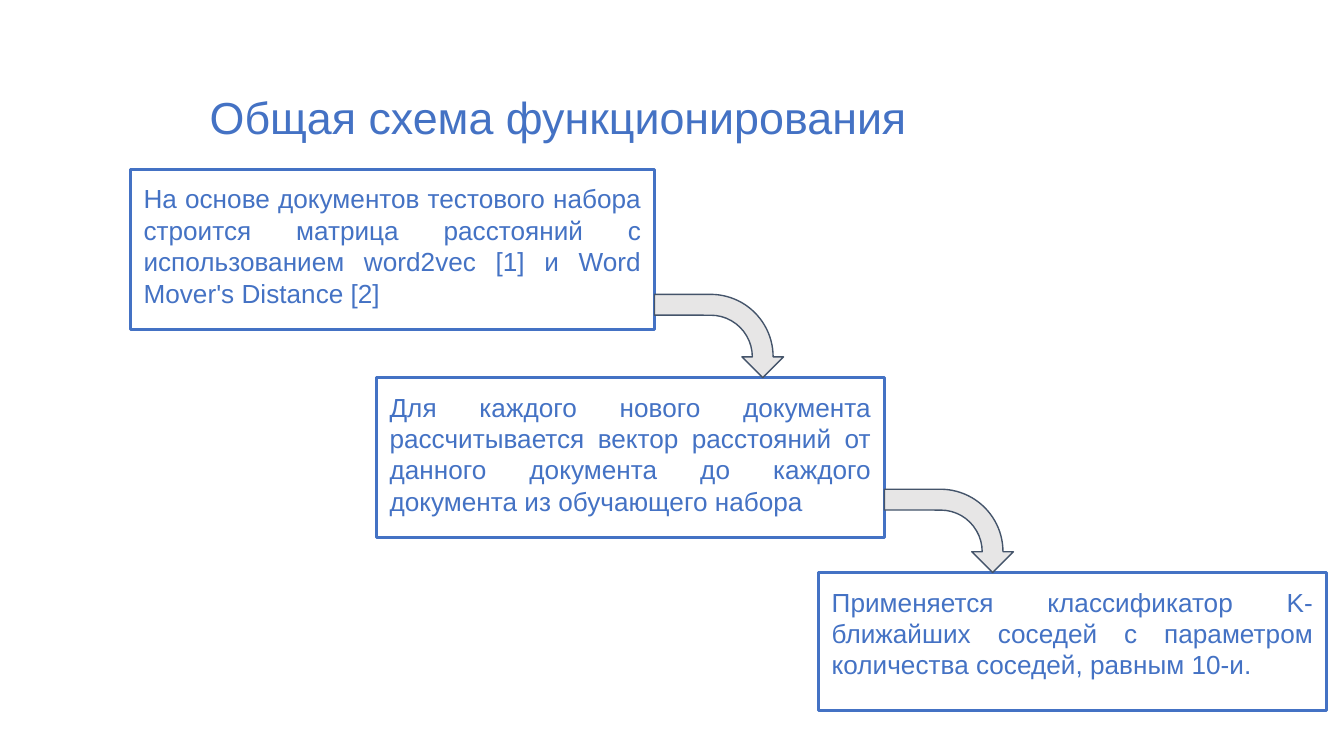
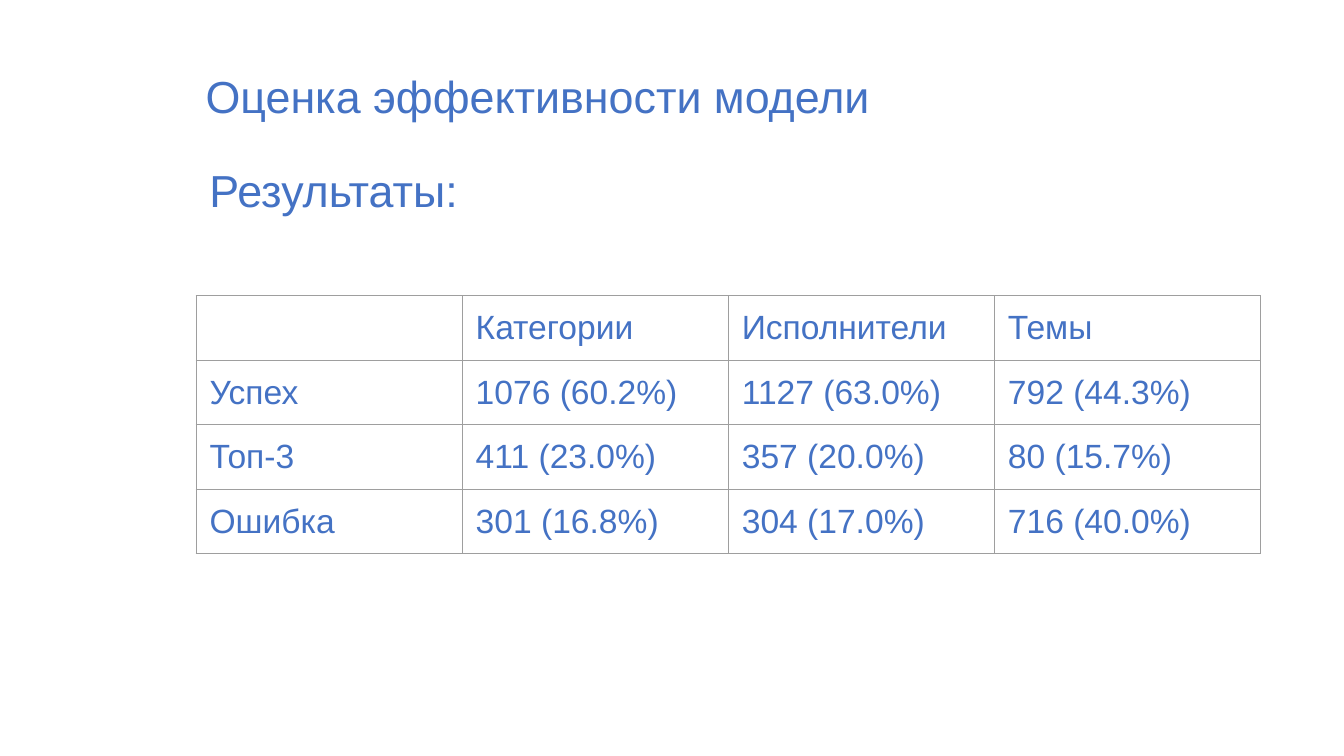
from dataclasses import dataclass

import pptx
import pptx.dml.color
import pptx.enum.shapes
import pptx.enum.text
import pptx.oxml
import pptx.oxml.ns
import pptx.presentation
import pptx.slide
import pptx.table
import pptx.text.text
import pptx.util
from pptx.util import Inches

COLORS = {
    "accent": "4472C4",
    "paper": "FFFFFF",
    "arrow_fill": "E7E6E6",
    "arrow_line": "44546A",
    "grid": "9E9E9E",
}
FONT = "Arial"
HEADING_SIZE = 24
STEP_SIZE = 14
TABLE_SIZE = 18
ARROW_WIDTH = 0.62
ARROW_LENGTH = 0.96
COLUMN_WIDTH = 1.98
ROW_HEIGHT = 0.42
JUSTIFY = pptx.enum.text.PP_ALIGN.JUSTIFY
LEFT = pptx.enum.text.PP_ALIGN.LEFT


@dataclass(frozen=True)
class Step:
    left: float
    top: float
    width: float
    height: float
    text: str


STEPS = [
    Step(0.97, 1.26, 3.9, 1.19,
         "На основе документов тестового набора строится матрица расстояний "
         "с использованием word2vec [1] и Word Mover's Distance [2]"),
    Step(2.8, 2.81, 3.78, 1.19,
         "Для каждого нового документа рассчитывается вектор расстояний "
         "от данного документа до каждого документа из обучающего набора"),
    Step(6.09, 4.26, 3.78, 1.03,
         "Применяется классификатор K-ближайших соседей с параметром "
         "количества соседей, равным 10-и."),
]

RESULTS = [
    ["", "Категории", "Исполнители", "Темы"],
    ["Успех", "1076 (60.2%)", "1127 (63.0%)", "792 (44.3%)"],
    ["Топ-3", "411 (23.0%)", "357 (20.0%)", "80 (15.7%)"],
    ["Ошибка", "301 (16.8%)", "304 (17.0%)", "716 (40.0%)"],
]


def rgb(name: str) -> pptx.dml.color.RGBColor:
    return pptx.dml.color.RGBColor.from_string(COLORS[name])


def add_run(paragraph: pptx.text.text._Paragraph, text: str, size: float) -> None:
    run = paragraph.add_run()
    run.text = text
    run.font.name = FONT
    run.font.size = pptx.util.Pt(size)
    run.font.color.rgb = rgb("accent")


def write(frame: pptx.text.text.TextFrame, text: str, size: float,
          align: pptx.enum.text.PP_ALIGN = LEFT,
          inset_x: float = 0.1, inset_y: float = 0.1) -> None:
    frame.word_wrap = True
    frame.auto_size = pptx.enum.text.MSO_AUTO_SIZE.NONE
    frame.vertical_anchor = pptx.enum.text.MSO_ANCHOR.TOP
    frame.margin_left = frame.margin_right = Inches(inset_x)
    frame.margin_top = frame.margin_bottom = Inches(inset_y)
    paragraph = frame.paragraphs[0]
    paragraph.alignment = align
    add_run(paragraph, text, size)


def add_titled_slide(deck: pptx.presentation.Presentation, text: str,
                     left: float, top: float, width: float) -> pptx.slide.Slide:
    slide = deck.slides.add_slide(deck.slide_layouts[5])
    title = slide.shapes.title
    title.left, title.top = Inches(left), Inches(top)
    title.width, title.height = Inches(width), Inches(0.48)
    write(title.text_frame, text, HEADING_SIZE, inset_x=0.07, inset_y=0.04)
    return slide


def draw_step(slide: pptx.slide.Slide, step: Step) -> None:
    box = slide.shapes.add_shape(
        pptx.enum.shapes.MSO_SHAPE.RECTANGLE,
        Inches(step.left), Inches(step.top), Inches(step.width), Inches(step.height))
    box.shadow.inherit = False
    box.fill.background()
    box.line.color.rgb = rgb("accent")
    box.line.width = pptx.util.Pt(1.5)
    write(box.text_frame, step.text, STEP_SIZE, JUSTIFY)


def draw_arrow(slide: pptx.slide.Slide, source: Step, target: Step) -> None:
    center_x = source.left + source.width + ARROW_LENGTH / 2
    center_y = target.top - ARROW_WIDTH / 2
    arrow = slide.shapes.add_shape(
        pptx.enum.shapes.MSO_SHAPE.BENT_ARROW,
        Inches(center_x - ARROW_WIDTH / 2), Inches(center_y - ARROW_LENGTH / 2),
        Inches(ARROW_WIDTH), Inches(ARROW_LENGTH))
    arrow.rotation = 90
    for index, value in enumerate((0.25, 0.25, 0.25, 0.75)):
        arrow.adjustments[index] = value
    arrow.shadow.inherit = False
    arrow.fill.solid()
    arrow.fill.fore_color.rgb = rgb("arrow_fill")
    arrow.line.color.rgb = rgb("arrow_line")
    arrow.line.width = pptx.util.Pt(0.75)


def draw_borders(cell: pptx.table._Cell) -> None:
    properties = cell._tc.get_or_add_tcPr()
    namespace = pptx.oxml.ns.nsdecls("a")
    for index, side in enumerate(("lnL", "lnR", "lnT", "lnB")):
        properties.insert(index, pptx.oxml.parse_xml(
            f'<a:{side} {namespace} w="{pptx.util.Pt(0.75)}"><a:solidFill>'
            f'<a:srgbClr val="{COLORS["grid"]}"/></a:solidFill></a:{side}>'))


def draw_results(slide: pptx.slide.Slide) -> None:
    row_count, column_count = len(RESULTS), len(RESULTS[0])
    results = slide.shapes.add_table(
        row_count, column_count, Inches(1.46), Inches(2.2),
        Inches(COLUMN_WIDTH * column_count), Inches(ROW_HEIGHT * row_count)).table
    results.first_row = results.horz_banding = False
    for row, values in zip(results.rows, RESULTS):
        for cell, value in zip(row.cells, values):
            cell.fill.background()
            draw_borders(cell)
            if value:
                cell.margin_left = cell.margin_right = Inches(0.1)
                cell.margin_top = cell.margin_bottom = Inches(0.1)
                add_run(cell.text_frame.paragraphs[0], value, TABLE_SIZE)


def main() -> None:
    deck = pptx.Presentation()
    deck.slide_width = Inches(10)
    deck.slide_height = deck.slide_width * 9 // 16
    background = deck.slide_master.background.fill
    background.solid()
    background.fore_color.rgb = rgb("paper")

    scheme = add_titled_slide(deck, "Общая схема функционирования", 1.49, 0.63, 7.59)
    for step in STEPS:
        draw_step(scheme, step)
    for source, target in zip(STEPS, STEPS[1:]):
        draw_arrow(scheme, source, target)

    evaluation = add_titled_slide(deck, "Оценка эффективности модели", 1.46, 0.47, 8.18)
    subtitle = evaluation.shapes.add_textbox(
        Inches(1.46), Inches(1.11), Inches(8.18), Inches(0.48))
    write(subtitle.text_frame, "Результаты:", HEADING_SIZE, JUSTIFY)
    draw_results(evaluation)

    deck.save("out.pptx")


if __name__ == "__main__":
    main()
